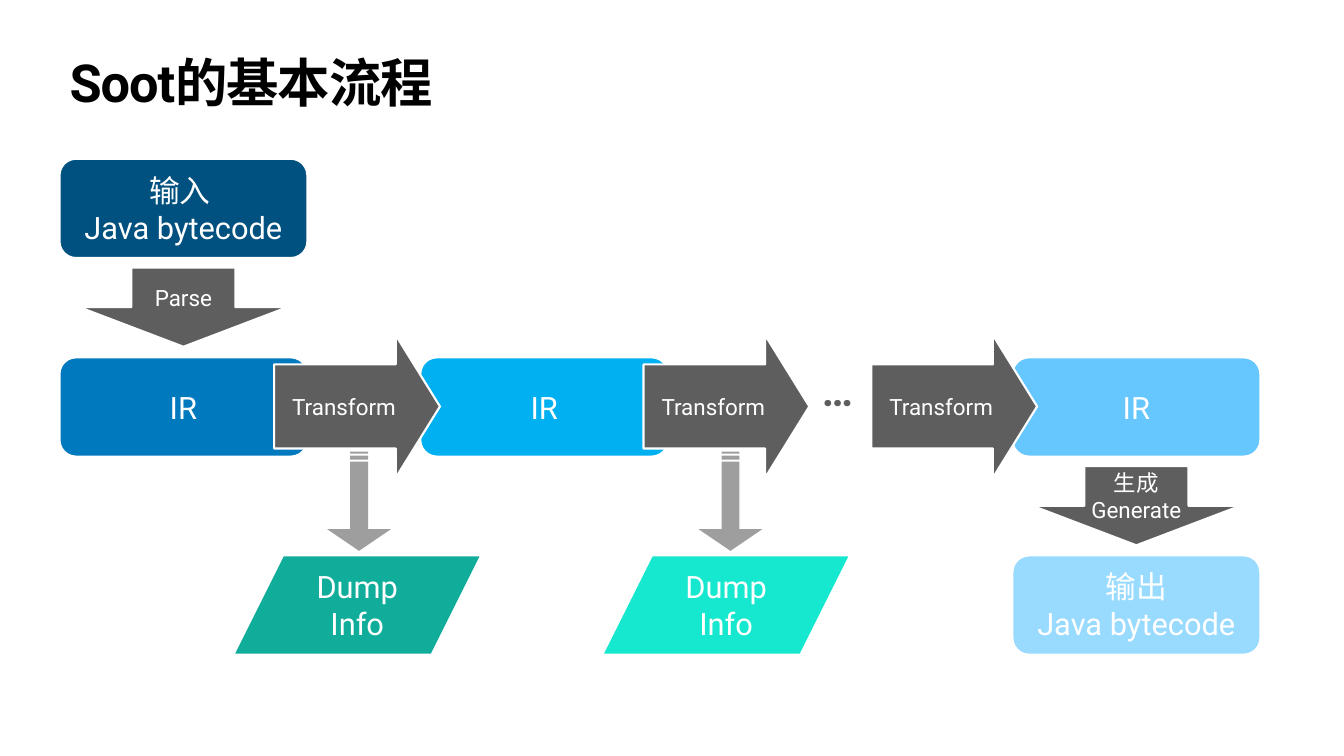
from dataclasses import dataclass

from pptx import Presentation
from pptx.dml.color import RGBColor
from pptx.enum.shapes import MSO_SHAPE
from pptx.enum.text import MSO_ANCHOR, MSO_AUTO_SIZE, PP_ALIGN
from pptx.util import Inches, Pt

ROUNDED = MSO_SHAPE.ROUNDED_RECTANGLE
PARALLELOGRAM = MSO_SHAPE.FLOWCHART_DATA
DOWN_ARROW = MSO_SHAPE.DOWN_ARROW
RIGHT_ARROW = MSO_SHAPE.RIGHT_ARROW
STRIPED_ARROW = MSO_SHAPE.STRIPED_RIGHT_ARROW
TOP, MIDDLE = MSO_ANCHOR.TOP, MSO_ANCHOR.MIDDLE
LEFT, CENTER = PP_ALIGN.LEFT, PP_ALIGN.CENTER


@dataclass(frozen=True)
class Theme:
    font: str = "Roboto"
    black: str = "000000"
    white: str = "FFFFFF"
    arrow: str = "5E5E5E"
    dump_arrow: str = "9E9E9E"
    source: str = "005180"
    first_ir: str = "0079BF"
    second_ir: str = "00B0F0"
    last_ir: str = "66C7FF"
    output: str = "99DAFF"
    first_dump: str = "10AD9B"
    second_dump: str = "16E7CF"
    title_size: float = 74.8
    box_size: int = 44
    arrow_size: int = 32
    dots_size: int = 60
    outline: int = 3


theme = Theme()


def write_text(shape, text, size, color=theme.white, bold=False, align=CENTER,
               anchor=MIDDLE, wrap=True, line_spacing=None, tracking=None):
    frame = shape.text_frame
    frame.text = text
    frame.word_wrap = wrap
    frame.vertical_anchor = anchor
    frame.margin_left = frame.margin_right = Inches(0.06)
    frame.margin_top = frame.margin_bottom = Inches(0.06)
    for paragraph in frame.paragraphs:
        paragraph.alignment = align
        paragraph.line_spacing = line_spacing
        for run in paragraph.runs:
            run.font.name = theme.font
            run.font.size = Pt(size)
            run.font.bold = bold
            run.font.color.rgb = RGBColor.from_string(color)
            if tracking is not None:
                run._r.get_or_add_rPr().set("spc", str(round(tracking * 100)))


def add_block(kind, left, top, width, height, fill, outlined=True, adjustments=()):
    shape = slide.shapes.add_shape(
        kind, Inches(left), Inches(top), Inches(width), Inches(height))
    shape.shadow.inherit = False
    shape.fill.solid()
    shape.fill.fore_color.rgb = RGBColor.from_string(fill)
    if outlined:
        shape.line.color.rgb = RGBColor.from_string(theme.white)
        shape.line.width = Pt(theme.outline)
    else:
        shape.line.fill.background()
    for index, value in enumerate(adjustments):
        shape.adjustments[index] = value
    return shape


presentation = Presentation()
presentation.slide_width = Inches(26.67)
presentation.slide_height = Inches(15)
slide = presentation.slides.add_slide(presentation.slide_layouts[5])

title = slide.shapes.title
title.left, title.top = Inches(1.32), Inches(1.18)
title.width, title.height = Inches(24.03), Inches(1.57)
write_text(title, "Soot的基本流程", size=theme.title_size, color=theme.black, bold=True,
           align=LEFT, anchor=TOP, line_spacing=0.8, tracking=-1.5)
title.text_frame.auto_size = MSO_AUTO_SIZE.NONE

box_width, box_height = 4.92, 1.97
first_column, last_column = 1.18, 20.09
input_row, ir_row, output_row = 3.15, 7.09, 11.02
boxes = [
    (ROUNDED, first_column, input_row, theme.source, "输入 \nJava bytecode"),
    (ROUNDED, last_column, output_row, theme.output, "输出\nJava bytecode"),
    (ROUNDED, first_column, ir_row, theme.first_ir, "IR"),
    (ROUNDED, 8.34, ir_row, theme.second_ir, "IR"),
    (ROUNDED, last_column, ir_row, theme.last_ir, "IR"),
    (PARALLELOGRAM, 4.63, output_row, theme.first_dump, "Dump Info"),
    (PARALLELOGRAM, 11.95, output_row, theme.second_dump, "Dump Info"),
]
for kind, left, top, fill, text in boxes:
    box = add_block(kind, left, top, box_width, box_height, fill)
    write_text(box, text, size=theme.box_size)

down_width = 4.13
down_inset = (box_width - down_width) / 2
for column, top, text in [(first_column, 5.31, "Parse"),
                          (last_column, 9.25, "生成\nGenerate")]:
    arrow = add_block(DOWN_ARROW, column + down_inset, top, down_width, 1.57, theme.arrow)
    write_text(arrow, text, size=theme.arrow_size)

for left in (5.44, 12.77, 17.29):
    arrow = add_block(RIGHT_ARROW, left, 6.65, 3.29, 2.83, theme.arrow,
                      adjustments=(0.59, 0.31))
    write_text(arrow, "Transform", size=theme.arrow_size)

dots = slide.shapes.add_textbox(Inches(16.14), Inches(7.18), Inches(0.95), Inches(1.12))
write_text(dots, "…", size=theme.dots_size, color=theme.arrow, bold=True, wrap=False)
dots.text_frame.auto_size = MSO_AUTO_SIZE.SHAPE_TO_FIT_TEXT

for left in (6.14, 13.51):
    arrow = add_block(STRIPED_ARROW, left, 9.31, 1.97, 1.27, theme.dump_arrow,
                      outlined=False, adjustments=(0.28, 0.34))
    arrow.rotation = 90

presentation.save("out.pptx")
